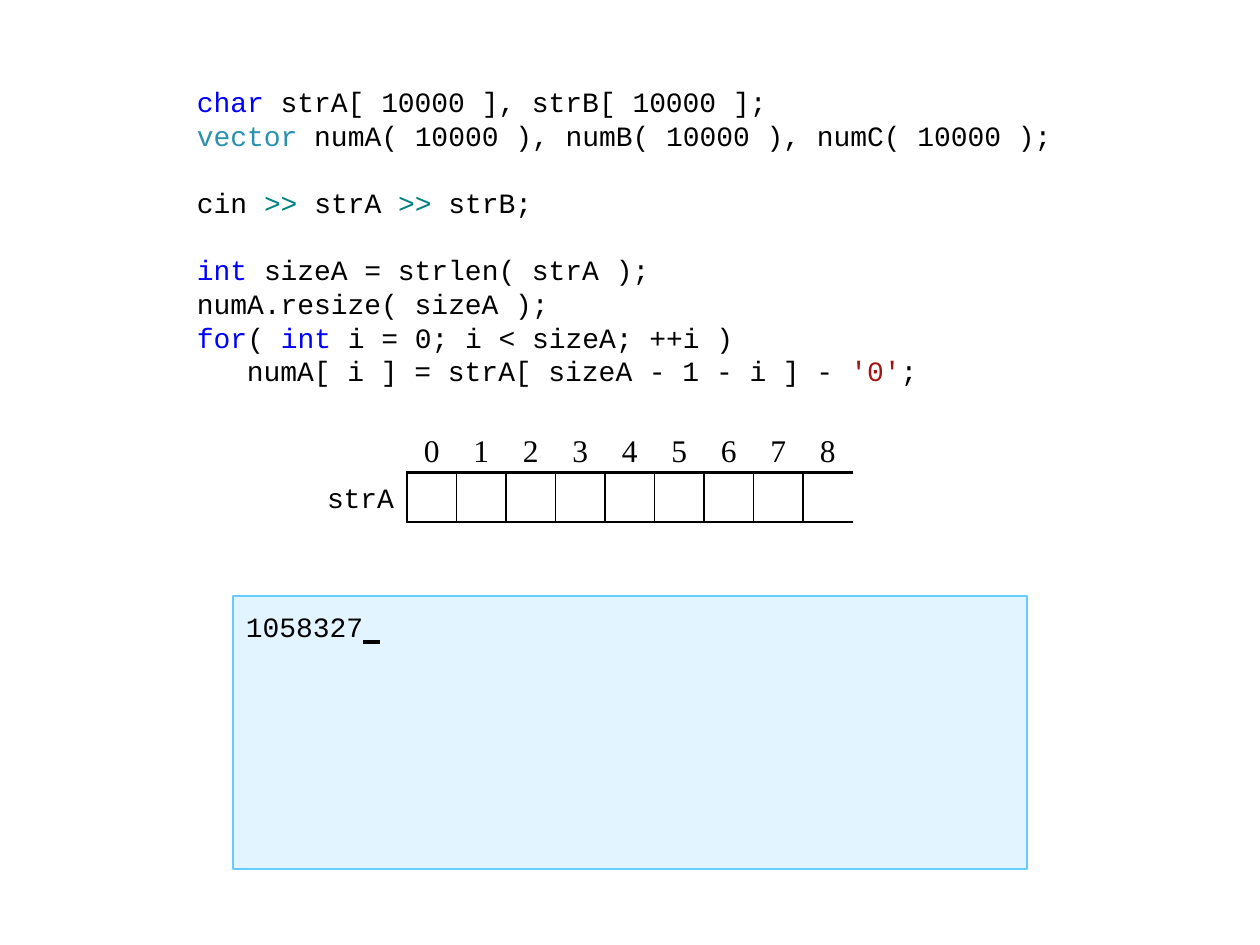
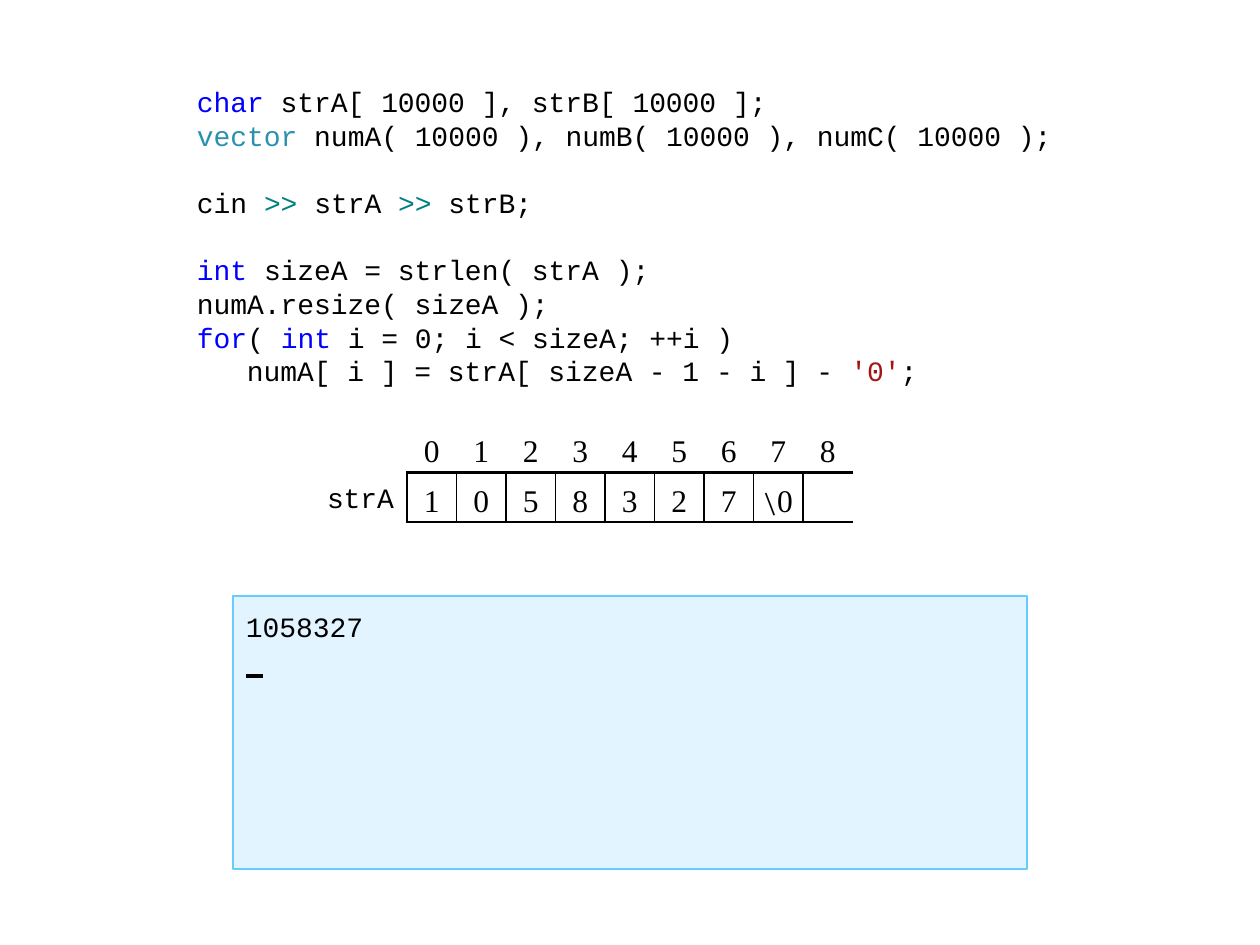
import pptx
import pptx.util
import pptx.dml.color
import pptx.enum.shapes
import pptx.enum.text
import pptx.oxml.ns
import lxml.etree

COLOURS = {
    "plain": "000000",
    "keyword": "0000FF",
    "type": "2B91AF",
    "operator": "008080",
    "literal": "A31515",
    "console": "E1F4FF",
    "console_edge": "66CCFF",
}
CODE_FONT, DIGIT_FONT, ESCAPE_FONT = "Courier New", "Times New Roman", "Cambria"
CODE_SIZE, DIGIT_SIZE = 16, 18
CODE_PITCH = 19.2
NO_TABLE_STYLE = "{2D5ABB26-0587-4C30-8999-92F81FD0307C}"

CODE_BLOCKS = [
    [
        (0, [("char", "keyword"), (" strA[ 10000 ], strB[ 10000 ];", "plain")]),
        (0, [("vector", "type"), (" numA( 10000 ), numB( 10000 ), numC( 10000 );", "plain")]),
    ],
    [
        (0, [("cin ", "plain"), (">> ", "operator"), ("strA ", "plain"),
             (">> ", "operator"), ("strB;", "plain")]),
    ],
    [
        (0, [("int ", "keyword"), ("sizeA = strlen( strA );", "plain")]),
        (0, [("numA.resize( sizeA );", "plain")]),
        (0, [("for", "keyword"), ("( ", "plain"), ("int", "keyword"),
             (" i = 0; i < sizeA; ++i )", "plain")]),
        (1, [("numA[ i ] = strA[ sizeA - 1 - i ] - ", "plain"), ("'0'", "literal"), (";", "plain")]),
    ],
]
ARRAY_NAME = "strA"
ARRAY_LENGTH = 9
TYPED = "1058327"
CURSOR = "n"
STEPS = [
    {"stored": [], "console": [[TYPED, CURSOR]]},
    {"stored": [*TYPED, "\\0"], "console": [[TYPED], [CURSOR]]},
]

PX_PER_INCH = 126
CODE_BOX = (184, 76, 893, 322)
CODE_TOP_INSET = 9
CODE_INDENT = 50
ARRAY_LEFT, ARRAY_TOP = 307, 423
LABEL_WIDTH, CELLS_WIDTH, ARRAY_HEIGHT = 100, 446, 99
CONSOLE_BOX = (233, 596, 794, 273)
CONSOLE_TOP_INSET = 14
SIDE_INSET = 13


def px(length):
    return pptx.util.Emu(round(length * 914400 / PX_PER_INCH))


def rgb(name):
    return pptx.dml.color.RGBColor.from_string(COLOURS[name])


def style(font, face, size, colour="plain"):
    font.name, font.size = face, pptx.util.Pt(size)
    font.color.rgb = rgb(colour)


def add_child(parent, tag, **attributes):
    child = lxml.etree.SubElement(parent, pptx.oxml.ns.qn(tag))
    for key, value in attributes.items():
        child.set(key, str(value))
    return child


def add_black_fill(parent):
    add_child(add_child(parent, "a:solidFill"), "a:srgbClr", val=COLOURS["plain"])


def set_up_frame(frame, top_inset):
    frame.word_wrap = True
    frame.auto_size = pptx.enum.text.MSO_AUTO_SIZE.NONE
    frame.vertical_anchor = pptx.enum.text.MSO_ANCHOR.TOP
    frame.margin_left = frame.margin_right = px(SIDE_INSET)
    frame.margin_top, frame.margin_bottom = px(top_inset), px(0)


def next_paragraph(frame, is_first):
    paragraph = frame.paragraphs[0] if is_first else frame.add_paragraph()
    paragraph.alignment = pptx.enum.text.PP_ALIGN.LEFT
    paragraph.line_spacing = pptx.util.Pt(CODE_PITCH)
    paragraph.space_before = paragraph.space_after = pptx.util.Pt(0)
    style(paragraph.font, CODE_FONT, CODE_SIZE)
    return paragraph


def add_code(slide):
    listing = slide.placeholders[1]
    listing.left, listing.top, listing.width, listing.height = map(px, CODE_BOX)
    frame = listing.text_frame
    set_up_frame(frame, CODE_TOP_INSET)
    for block_index, block in enumerate(CODE_BLOCKS):
        for line_index, (level, tokens) in enumerate(block):
            paragraph = next_paragraph(frame, block_index == line_index == 0)
            if block_index and line_index == 0:
                paragraph.space_before = pptx.util.Pt(CODE_PITCH)
            properties = paragraph._p.get_or_add_pPr()
            properties.set("marL", str(px(level * CODE_INDENT)))
            properties.set("indent", "0")
            bullet = add_child(properties, "a:buNone")
            properties.find(pptx.oxml.ns.qn("a:defRPr")).addprevious(bullet)
            for text, colour in tokens:
                run = paragraph.add_run()
                run.text = text
                run.font.color.rgb = rgb(colour)


def add_console(slide, lines):
    console = slide.shapes.add_shape(pptx.enum.shapes.MSO_SHAPE.RECTANGLE, *map(px, CONSOLE_BOX))
    console.shadow.inherit = False
    console.fill.solid()
    console.fill.fore_color.rgb = rgb("console")
    console.line.color.rgb = rgb("console_edge")
    console.line.width = pptx.util.Pt(1.5)
    set_up_frame(console.text_frame, CONSOLE_TOP_INSET)
    for index, parts in enumerate(lines):
        paragraph = next_paragraph(console.text_frame, index == 0)
        for text in parts:
            run = paragraph.add_run()
            run.text = text
            run.font.color.rgb = rgb("plain")
            if text == CURSOR:
                run.font.color.rgb = rgb("console")
                run.font.underline = pptx.enum.text.MSO_UNDERLINE.HEAVY_LINE
                underline = add_child(run._r.get_or_add_rPr(), "a:uFill")
                add_black_fill(underline)


def set_borders(cell, widths):
    properties = cell._tc.get_or_add_tcPr()
    for side in "LRTB":
        if side in widths:
            border = add_child(properties, f"a:ln{side}", w=pptx.util.Pt(widths[side]))
            add_black_fill(border)


def fill_cell(cell, text, face=DIGIT_FONT, size=DIGIT_SIZE):
    cell.margin_left = cell.margin_right = cell.margin_top = cell.margin_bottom = 0
    cell.vertical_anchor = pptx.enum.text.MSO_ANCHOR.MIDDLE
    paragraph = cell.text_frame.paragraphs[0]
    paragraph.alignment = pptx.enum.text.PP_ALIGN.CENTER
    paragraph.line_spacing = 1.25
    style(paragraph.font, face, size)
    parts = list(text) if text.startswith("\\") else [text]
    for part in filter(None, parts):
        run = paragraph.add_run()
        run.text = part
        if part == "\\":
            style(run.font, ESCAPE_FONT, CODE_SIZE)
    return paragraph


def add_array(slide, stored):
    array = slide.shapes.add_table(
        2, ARRAY_LENGTH + 1, px(ARRAY_LEFT), px(ARRAY_TOP),
        px(LABEL_WIDTH + CELLS_WIDTH), px(ARRAY_HEIGHT)).table
    array.first_row = array.horz_banding = False
    array._tbl.tblPr.find(pptx.oxml.ns.qn("a:tableStyleId")).text = NO_TABLE_STYLE
    for row in array.rows:
        row.height = px(ARRAY_HEIGHT / 2)
    for index, column in enumerate(array.columns):
        column.width = px(CELLS_WIDTH / ARRAY_LENGTH if index else LABEL_WIDTH)

    fill_cell(array.cell(0, 0), "")
    label = array.cell(1, 0)
    fill_cell(label, ARRAY_NAME, CODE_FONT, CODE_SIZE).alignment = pptx.enum.text.PP_ALIGN.RIGHT
    label.margin_left = label.margin_right = px(SIDE_INSET)
    set_borders(label, {"R": 1.5})
    for index in range(ARRAY_LENGTH):
        heading, element = (array.cell(row, index + 1) for row in range(2))
        fill_cell(heading, str(index))
        set_borders(heading, {"B": 1.5})
        fill_cell(element, stored[index] if index < len(stored) else "")
        widths = {"L": 1 if index else 1.5, "T": 1.5, "B": 1.5}
        if index < ARRAY_LENGTH - 1:
            widths["R"] = 1
        set_borders(element, widths)
    for cell in array.iter_cells():
        cell.fill.background()


def main():
    deck = pptx.Presentation()
    deck.slide_width, deck.slide_height = pptx.util.Inches(10), pptx.util.Inches(7.5)
    for step in STEPS:
        slide = deck.slides.add_slide(deck.slide_layouts[1])
        title = slide.shapes.title._element
        title.getparent().remove(title)
        add_code(slide)
        add_console(slide, step["console"])
        add_array(slide, step["stored"])
    deck.save("out.pptx")


if __name__ == "__main__":
    main()
